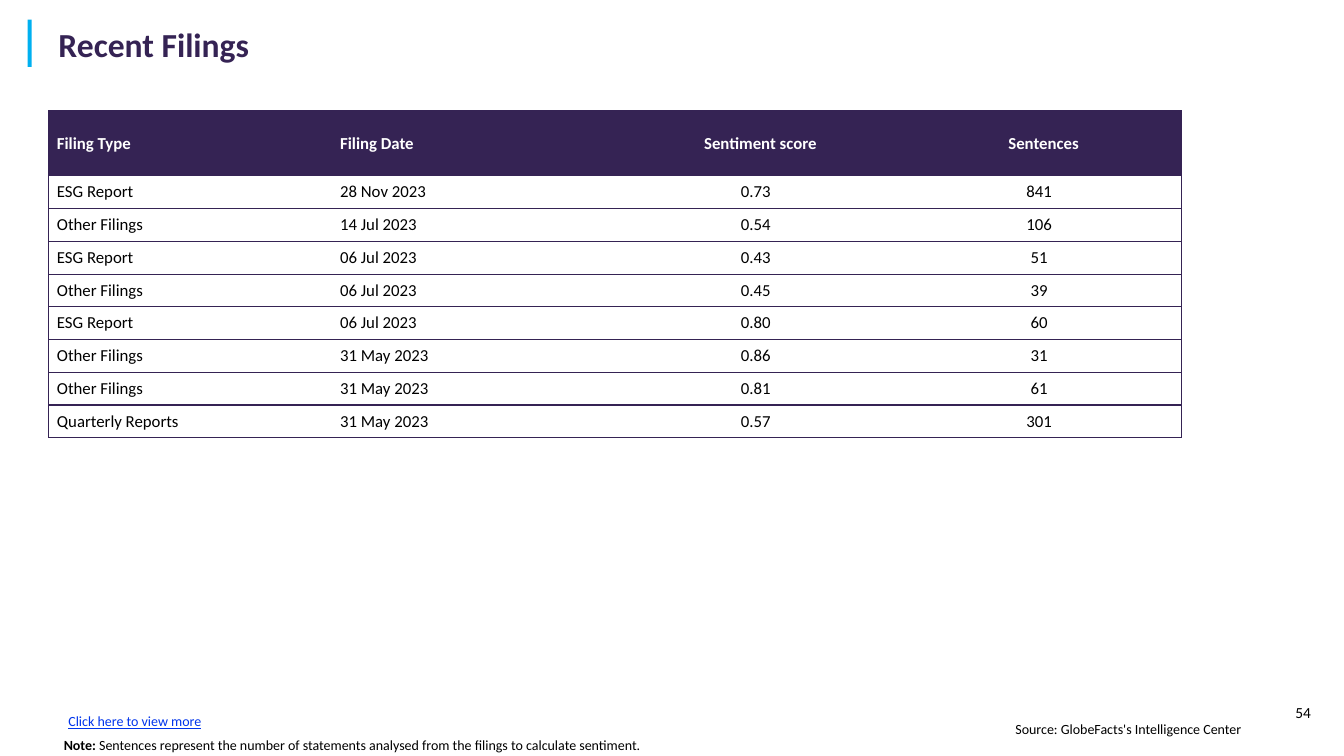
from lxml.etree import SubElement
from pptx import Presentation
from pptx.dml.color import RGBColor
from pptx.enum.shapes import MSO_SHAPE
from pptx.enum.text import MSO_ANCHOR, MSO_AUTO_SIZE, PP_ALIGN
from pptx.oxml.ns import qn
from pptx.util import Pt

EMU_PER_PX = 4572
COLORS = {
    "purple": "352354",
    "accent": "00B0F0",
    "link": "0034EC",
    "black": "000000",
    "white": "FFFFFF",
}
HEADINGS = ("Filing Type", "Filing Date", "Sentiment score", "Sentences")
FILINGS = (
    ("ESG Report", "28 Nov 2023", "0.73", "841"),
    ("Other Filings", "14 Jul 2023", "0.54", "106"),
    ("ESG Report", "06 Jul 2023", "0.43", "51"),
    ("Other Filings", "06 Jul 2023", "0.45", "39"),
    ("ESG Report", "06 Jul 2023", "0.80", "60"),
    ("Other Filings", "31 May 2023", "0.86", "31"),
    ("Other Filings", "31 May 2023", "0.81", "61"),
    ("Quarterly Reports", "31 May 2023", "0.57", "301"),
)


def px(value):
    return value * EMU_PER_PX


def rgb(name):
    return RGBColor.from_string(COLORS[name])


class FilingsSlide:
    font_name = "Calibri"

    def __init__(self, presentation):
        self.slide = presentation.slides.add_slide(presentation.slide_layouts[5])

    def style(self, paragraph, size, color="black", bold=None, align=PP_ALIGN.LEFT):
        paragraph.alignment = align
        font = paragraph.font
        font.name, font.size, font.bold = self.font_name, Pt(size), bold
        font.color.rgb = rgb(color)

    def title(self, text, left, top, width, height):
        shape = self.slide.shapes.title
        shape.left, shape.top, shape.width, shape.height = map(px, (left, top, width, height))
        frame = shape.text_frame
        frame.text = text
        frame.auto_size = MSO_AUTO_SIZE.NONE
        frame.vertical_anchor = MSO_ANCHOR.MIDDLE
        frame.margin_left, frame.margin_right = px(62), px(16)
        frame.margin_top = frame.margin_bottom = px(10)
        self.style(frame.paragraphs[0], 24, "purple", True)

    def bar(self, left, top, width, height):
        shape = self.slide.shapes.add_shape(
            MSO_SHAPE.RECTANGLE, *map(px, (left, top, width, height)))
        shape.shadow.inherit = False
        shape.fill.solid()
        shape.fill.fore_color.rgb = rgb("accent")
        shape.line.fill.background()

    def text(self, runs, left, top, width, height, size=10, color="black",
             align=PP_ALIGN.LEFT, right_margin=20):
        box = self.slide.shapes.add_textbox(*map(px, (left, top, width, height)))
        frame = box.text_frame
        frame.word_wrap = True
        frame.margin_right = px(right_margin)
        paragraph = frame.paragraphs[0]
        for words, bold in runs:
            run = paragraph.add_run()
            run.text = words
            run.font.bold = bold
        self.style(paragraph, size, color, align=align)
        return paragraph

    def border(self, cell, side, visible):
        line = SubElement(cell._tc.get_or_add_tcPr(), qn("a:ln" + side), w=str(Pt(1)))
        if visible:
            fill = SubElement(line, qn("a:solidFill"))
            SubElement(fill, qn("a:srgbClr"), val=COLORS["purple"])
        else:
            SubElement(line, qn("a:noFill"))

    def cell(self, cell, text, header, column, last_column):
        for side, visible in (("L", column == 0), ("R", column == last_column),
                              ("T", True), ("B", True)):
            self.border(cell, side, visible)
        cell.fill.solid()
        cell.fill.fore_color.rgb = rgb("purple" if header else "white")
        cell.vertical_anchor = MSO_ANCHOR.MIDDLE
        cell.margin_left, cell.margin_right = px(16), px(2 if header else 20)
        cell.margin_top = cell.margin_bottom = 0
        cell.text = text
        self.style(cell.text_frame.paragraphs[0], 12, "white" if header else "black",
                   header, PP_ALIGN.LEFT if column < 2 else PP_ALIGN.CENTER)

    def table(self, rows, left, top, column_width, header_height, row_height):
        columns = len(rows[0])
        height = header_height + row_height * (len(rows) - 1)
        frame = self.slide.shapes.add_table(
            len(rows), columns, *map(px, (left, top, column_width * columns, height)))
        table = frame.table
        table.first_row = table.horz_banding = False
        for column in table.columns:
            column.width = px(column_width)
        for row_index, row in enumerate(rows):
            header = row_index == 0
            table.rows[row_index].height = px(header_height if header else row_height)
            for column_index, text in enumerate(row):
                self.cell(table.cell(row_index, column_index), text, header,
                          column_index, columns - 1)


def main():
    presentation = Presentation()
    presentation.slide_width, presentation.slide_height = px(2667), px(1500)
    filings = FilingsSlide(presentation)
    filings.text([("54", None)], 2506, 1386, 160, 58, size=11, align=PP_ALIGN.CENTER)
    filings.bar(55, 39, 8, 94)
    filings.text([("Source: GlobeFacts's Intelligence Center", None)],
                 64, 1420, 2456, 54, align=PP_ALIGN.RIGHT, right_margin=57)
    filings.title("Recent Filings", 54, 48, 2456, 78)
    filings.table((HEADINGS, *FILINGS), 97, 220, 562, 129, 65)
    filings.text([("Note: ", True),
                  ("Sentences represent the number of statements analysed from the filings "
                   "to calculate sentiment.", False)], 107, 1452, 1446, 48)
    link = filings.text([("Click here to view more", None)], 116, 1408, 2456, 50, color="link")
    link.line_spacing = 0.9
    link.font.underline = True
    presentation.save("out.pptx")


if __name__ == "__main__":
    main()
